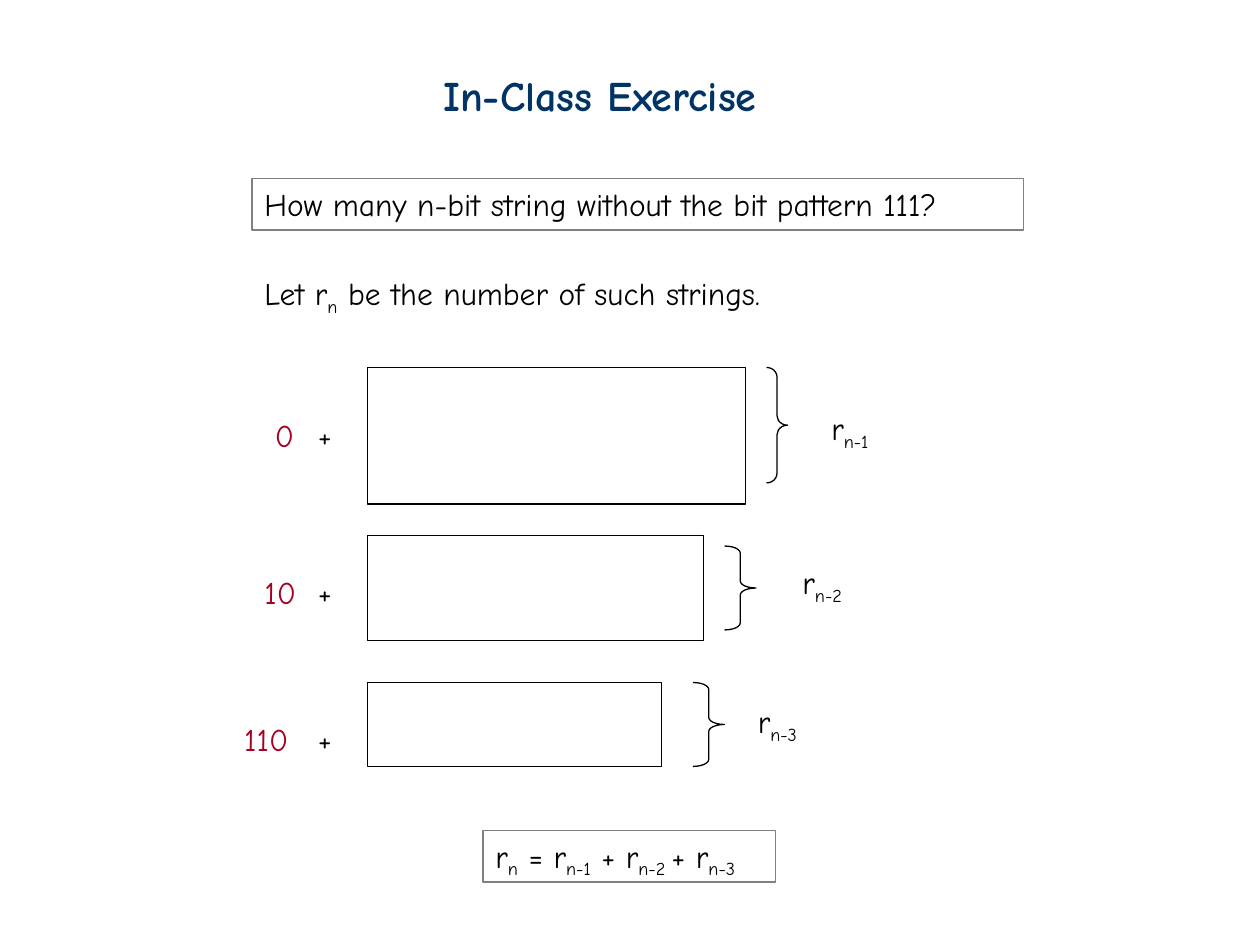
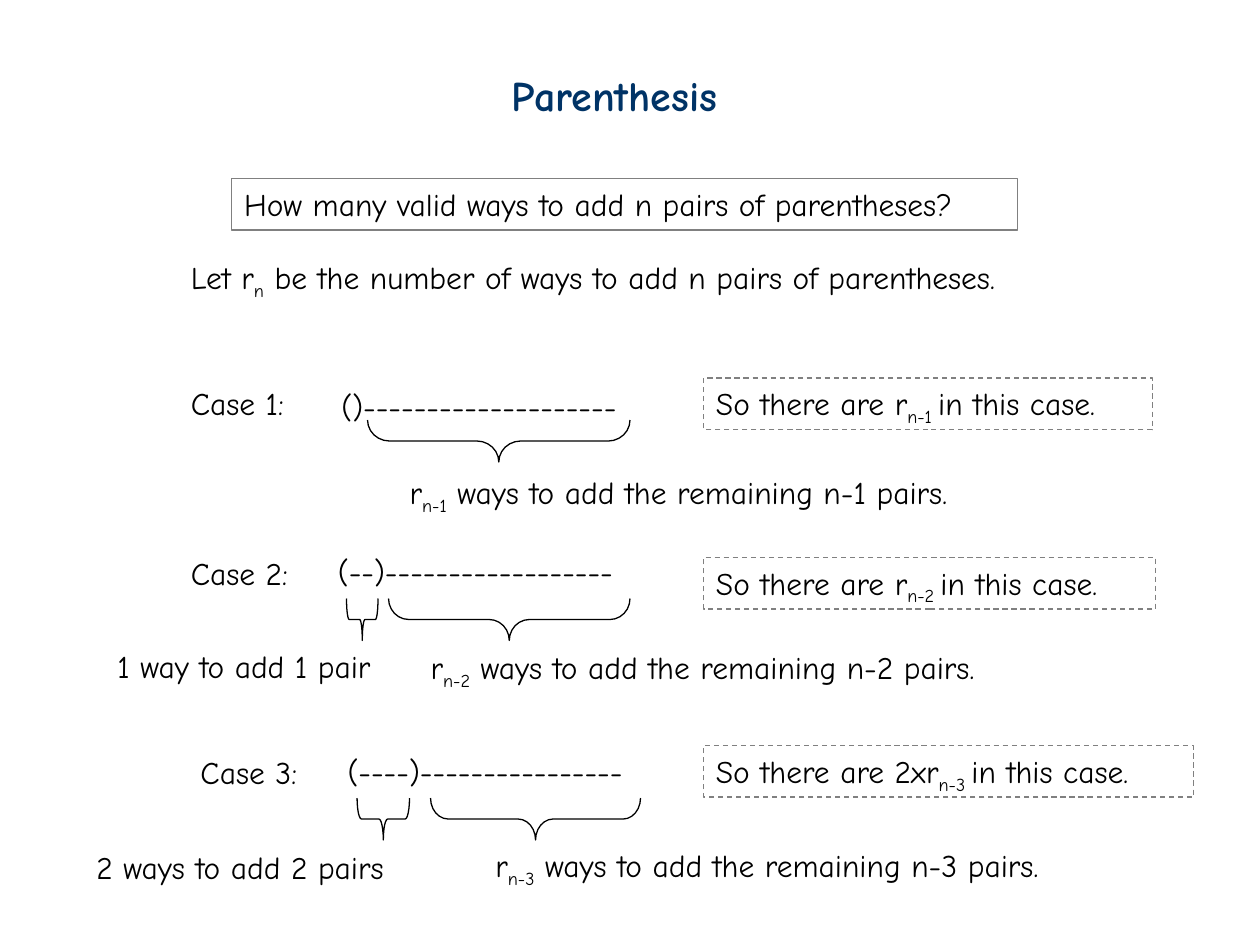
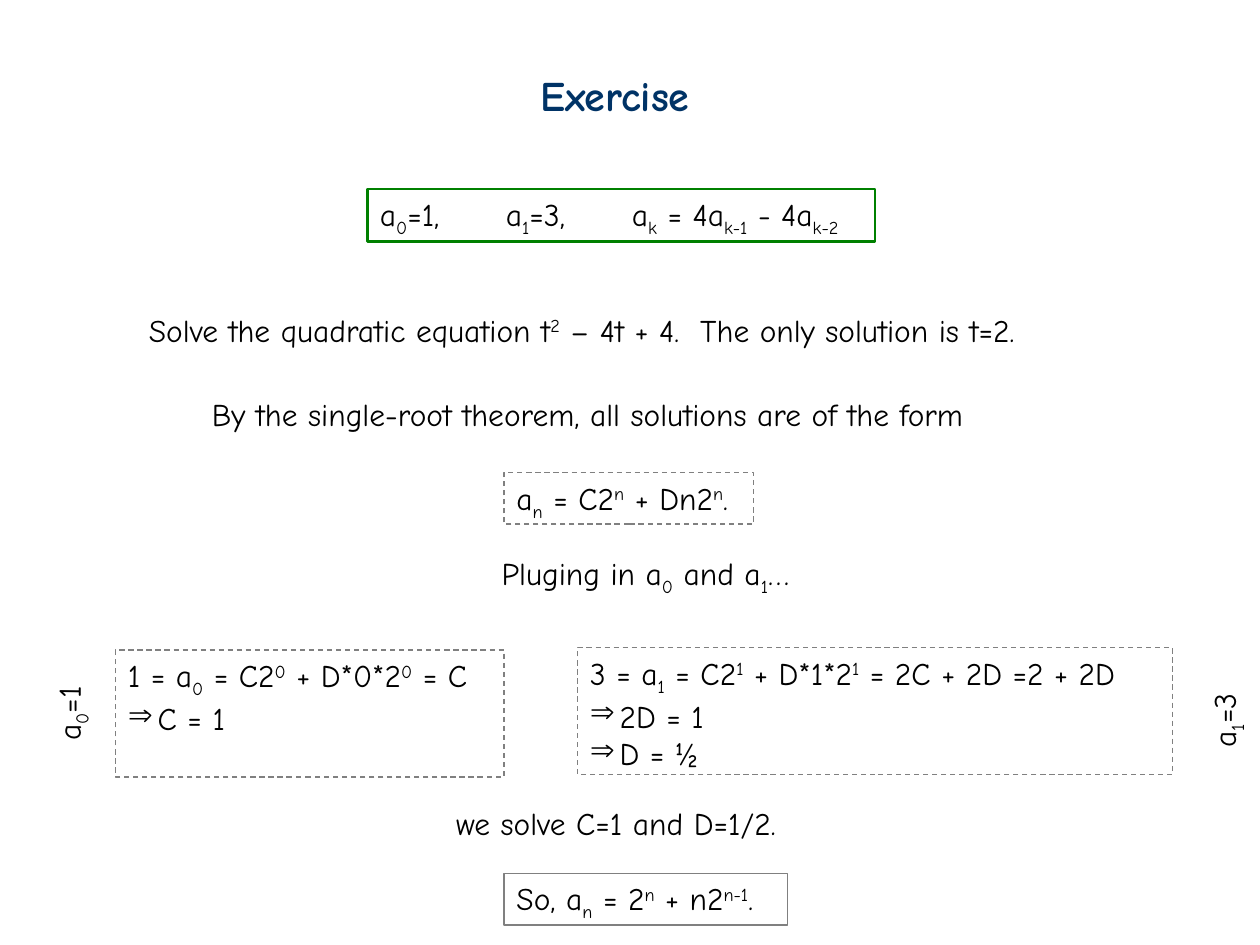
from lxml.etree import SubElement
from pptx import Presentation
from pptx.dml.color import RGBColor
from pptx.enum.dml import MSO_LINE
from pptx.enum.shapes import MSO_SHAPE
from pptx.enum.text import MSO_ANCHOR, MSO_AUTO_SIZE, PP_ALIGN
from pptx.oxml.ns import qn
from pptx.util import Pt

FONT = "Comic Neue"
NAVY, BLACK, RED, GREY, GREEN = "003366", "000000", "A50021", "808080", "008000"
BODY = {"name": FONT, "size": Pt(18), "bold": False}
HEAD = {"name": FONT, "size": Pt(24), "bold": True}
FRAME = {"word_wrap": True, "auto_size": MSO_AUTO_SIZE.NONE,
         "vertical_anchor": MSO_ANCHOR.TOP, "margin_left": Pt(7.2),
         "margin_right": 0, "margin_top": Pt(3.6), "margin_bottom": Pt(3.6)}
SHIFTS = {"_": "-25000", "^": "30000"}
ROW = 28.8


def paint(target, color):
    target.rgb = RGBColor.from_string(color)


def apply(target, values):
    for name, value in values.items():
        setattr(target, name, value)


def bullet(para, mark, indent=17):
    props = para._p.get_or_add_pPr()
    props.set("marL", str(Pt(indent)))
    props.set("indent", str(-Pt(indent)))
    SubElement(props, qn("a:buChar")).set("char", mark)


def tabs(para, *stops):
    holder = SubElement(para._p.get_or_add_pPr(), qn("a:tabLst"))
    for stop in stops:
        tab = SubElement(holder, qn("a:tab"))
        tab.set("pos", str(Pt(stop)))
        tab.set("algn", "l")


def write(shape, text, color=BLACK, style=BODY, space=None):
    """Fill a shape; {_x} is a subscript, {^x} a superscript, a leading ⇒ a bullet."""
    frame = shape.text_frame
    apply(frame, FRAME)
    for i, line in enumerate(text.split("\n")):
        para = frame.paragraphs[0] if i == 0 else frame.add_paragraph()
        para.alignment = PP_ALIGN.LEFT
        if space:
            para.line_spacing = space
        if line[0] == "⇒":
            bullet(para, line[0])
            line = line[1:]
        if "\t" in line:
            tabs(para, 72, 144)
        for part in filter(None, line.replace("}", "{").split("{")):
            run = para.add_run()
            run.text = part.lstrip("_^")
            apply(run.font, style)
            paint(run.font.color, color)
            if part[0] in SHIFTS:
                run._r.get_or_add_rPr().set("baseline", SHIFTS[part[0]])


def label(slide, text, x, y, w, color=BLACK, space=None, turn=0):
    box = slide.shapes.add_textbox(Pt(x), Pt(y), Pt(w), Pt(ROW))
    box.rotation = turn
    write(box, text, color, space=space)


def outline(slide, kind, x, y, w, h, color=BLACK, width=0.75):
    shape = slide.shapes.add_shape(kind, Pt(x), Pt(y), Pt(w), Pt(h))
    shape.shadow.inherit = False
    shape.fill.background()
    paint(shape.line.color, color)
    shape.line.width = Pt(width)
    return shape


def panel(slide, text, x, y, w, h=29.5, color=GREY, width=0.75, dash=False):
    """Draw a framed text, solid or dashed."""
    shape = outline(slide, MSO_SHAPE.RECTANGLE, x, y, w, h, color, width)
    if dash:
        shape.line.dash_style = MSO_LINE.DASH
    write(shape, text)


def brace(slide, x, y, w, h):
    """Draw a brace that fills the box: a tall one points right, a flat one down."""
    flat = y >= 240 and h == 24
    if flat:
        x, y, w, h = x + (w - h) / 2, y + (h - w) / 2, h, w
    shape = outline(slide, MSO_SHAPE.RIGHT_BRACE, x, y, w, h)
    shape.rotation = 90 if flat else 0
    shape.adjustments[0] = h / min(w, h) / 12


def start(deck, title, x, w):
    slide = deck.slides.add_slide(deck.slide_layouts[5])
    head = slide.shapes.title
    apply(head, {"left": Pt(x), "top": Pt(36), "width": Pt(w), "height": Pt(36)})
    write(head, title, NAVY, HEAD)
    return slide


def strings(deck):
    slide = start(deck, "In-Class Exercise", 246, 222)
    panel(slide, "How many n-bit string without the bit pattern 111?", 144, 102, 441)
    label(slide, "Let r{_n} be the number of such strings.", 144, 153, 326)
    # prefix, its x, row y, block (y, w, h), brace box, count x and y, line spacing
    rows = [
        ("0", 150, 234, (210, 216, 78), (438, 210, 12, 66), 468, 218, 1.5),
        ("10", 144, 324, (306, 192, 60), (414, 312, 18, 48), 451.5, 318, None),
        ("110", 132.5, 408, (390, 168, 48), (396, 390, 18, 48), 426, 397.5, None),
    ]
    for n, (bits, x, y, block, curl, cx, cy, space) in enumerate(rows, 1):
        label(slide, bits, x, y, 42, RED)
        label(slide, "+", 174.5, y, 23)
        outline(slide, MSO_SHAPE.RECTANGLE, 210, *block)
        brace(slide, *curl)
        label(slide, f"r{{_n-{n}}}", cx, cy, 42, space=space)
    panel(slide, "r{_n} = r{_n-1} + r{_n-2 }+ r{_n-3}", 276, 474.5, 167)


def pairs(deck):
    slide = start(deck, "Parenthesis", 285, 147)
    panel(slide, "How many valid ways to add n pairs of parentheses?", 132.5, 102, 449)
    label(slide, "Let r{_n} be the number of ways to add n pairs of parentheses.",
          102, 144, 517)
    # case x and y, pattern with x and y, brace (x, y, w), note x and y,
    # result factor, y and width
    cases = [
        (102, 216, "()--------------------", 188, 217.5, (210, 240, 150),
         227, 267, "", 216, 256.5),
        (102, 313, "(--)------------------", 186, 312, (222, 342, 138),
         239, 367, "", 318.5, 258.5),
        (107.5, 427, "(----)----------------", 191.5, 426, (246, 456, 120),
         276, 480, "2x", 426, 280),
    ]
    for n, (x, y, dots, dx, dy, curl, nx, ny, factor, ry, rw) in enumerate(cases, 1):
        label(slide, f"Case {n}:", x, y, 75)
        label(slide, dots, dx, dy, 178)
        brace(slide, *curl, 24)
        label(slide, f"r{{_n-{n}}} ways to add the remaining n-{n} pairs.", nx, ny, 350)
        panel(slide, f"So there are {factor}r{{_n-{n} }}in this case.",
              402, ry, rw, dash=True)
    for x, y, w, text, tx, ty in [(198, 342, 18, "1 way to add 1 pair", 60, 366),
                                  (204, 456, 30, "2 ways to add 2 pairs", 48, 481)]:
        brace(slide, x, y, w, 24)
        label(slide, text, tx, ty, 193)


def solve(deck):
    slide = start(deck, "Exercise", 301.5, 112.5)
    panel(slide, "a{_0}=1, \ta{_1}=3, \ta{_k} = 4a{_k-1} - 4a{_k-2}",
          210, 108, 290, 30, GREEN, 1.5)
    for text, x, y, w in [
        ("Solve the quadratic equation t{^2} – 4t + 4.  The only solution is t=2.",
         78, 174, 559),
        ("By the single-root theorem, all solutions are of the form", 114, 222, 488),
        ("Pluging in a{_0} and a{_1}…", 279.5, 313, 181),
        ("we solve C=1 and D=1/2.", 253.5, 456, 215),
    ]:
        label(slide, text, x, y, w)
    panel(slide, "a{_n} = C2{^n} + Dn2{^n}.", 288, 270, 142.5, dash=True)
    panel(slide, "1 = a{_0} = C2{^0} + D*0*2{^0} = C\n⇒C = 1",
          66, 371.5, 222, 72.5, dash=True)
    panel(slide, "3 = a{_1} = C2{^1} + D*1*2{^1} = 2C + 2D =2 + 2D\n⇒2D = 1\n⇒D = ½",
          330, 370, 340, 72.5, dash=True)
    label(slide, "a{_0}=1", 14.5, 391.5, 49, turn=270)
    label(slide, "a{_1}=3", 674.5, 395, 49.5, turn=270)
    panel(slide, "So, a{_n} = 2{^n} + n2{^n-1}.", 288, 499, 162)


def main():
    deck = Presentation()
    deck.slide_width, deck.slide_height = Pt(720), Pt(540)
    strings(deck)
    pairs(deck)
    solve(deck)
    deck.save("out.pptx")


if __name__ == "__main__":
    main()
